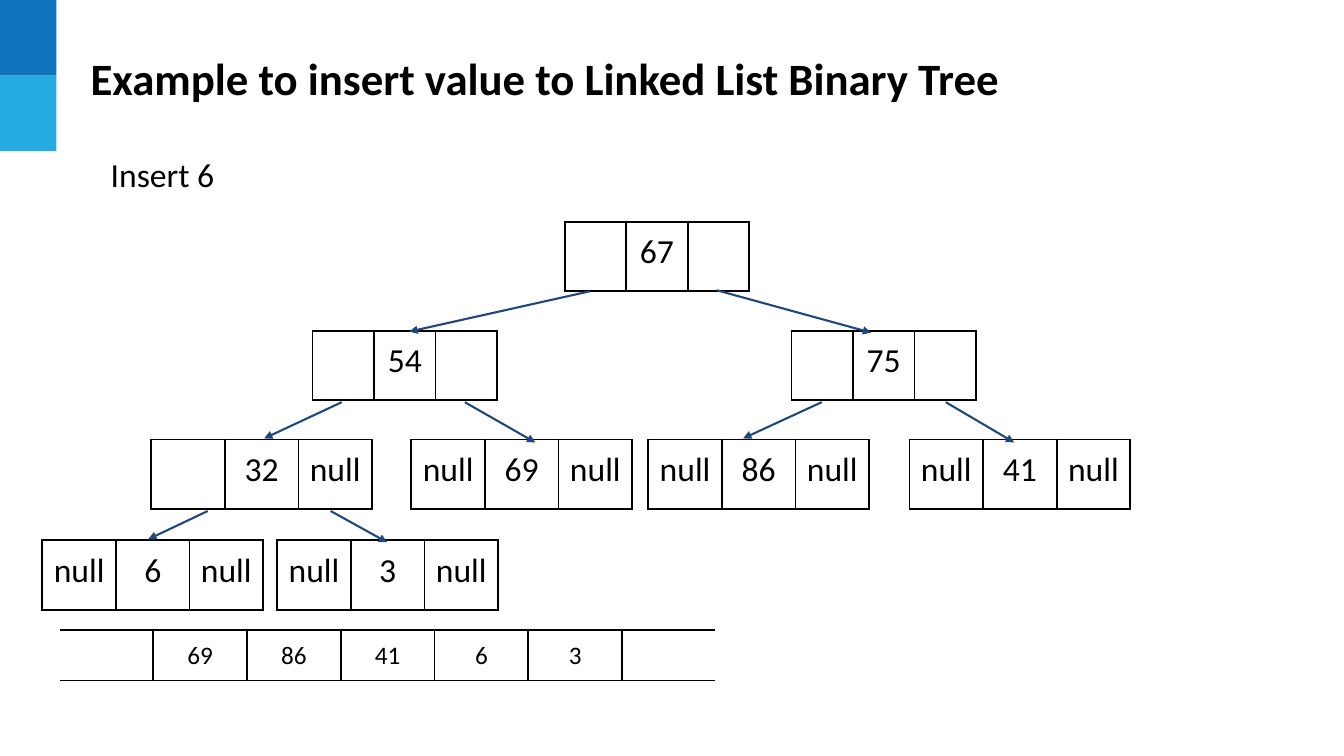
from lxml import etree
from pptx import Presentation
from pptx import util as u
from pptx.dml.color import RGBColor
from pptx.enum import shapes, text
from pptx.oxml.ns import qn

FONT, INK, LINK, PAPER = "Calibri", "000000", "1F497D", "FFFFFF"

NODES = [
    (5.6, 2.2, 0.61, ["", "67", ""]),
    (3.1, 3.28, 0.61, ["", "54", ""]),
    (7.85, 3.28, 0.61, ["", "75", ""]),
    (1.5, 4.36, 0.73, ["", "32", "null"]),
    (4.08, 4.36, 0.73, ["null", "69", "null"]),
    (6.43, 4.36, 0.73, ["null", "86", "null"]),
    (9.02, 4.36, 0.73, ["null", "41", "null"]),
    (0.42, 5.36, 0.73, ["null", "6", "null"]),
    (2.75, 5.36, 0.73, ["null", "3", "null"]),
]
LINKS = [
    (5.85, 2.89, 4.06, 3.29), (7.11, 2.88, 8.64, 3.3),
    (3.39, 3.99, 2.62, 4.35), (4.61, 3.99, 5.31, 4.39),
    (8.15, 3.99, 7.37, 4.35), (9.38, 3.99, 10.06, 4.39),
    (2.06, 5.07, 1.47, 5.35), (3.28, 5.07, 3.84, 5.38),
]
QUEUE = ["", "69", "86", "41", "6", "3", ""]


def color(code):
    """Turn a hex string into a colour."""
    return RGBColor.from_string(code)


def style(par, size, bold=False):
    """Apply the slide's font to a paragraph."""
    form = {"name": FONT, "size": u.Pt(size), "bold": bold}
    for key, val in form.items():
        setattr(par.font, key, val)
    par.font.color.rgb = color(INK)


def label(slide, box, words, size, bold=False):
    """Place one line of text, centred vertically in its box."""
    frame = slide.shapes.add_textbox(*map(u.Inches, box)).text_frame
    form = {"word_wrap": True, "vertical_anchor": text.MSO_ANCHOR.MIDDLE}
    for key, val in form.items():
        setattr(frame, key, val)
    par = frame.paragraphs[0]
    par.text = words
    style(par, size, bold)


def border(cell, side, code):
    """Draw one border of a cell."""
    line = etree.SubElement(cell._tc.get_or_add_tcPr(), qn("a:ln" + side), w=str(u.Pt(1.5)))
    fill = etree.SubElement(line, qn("a:solidFill"))
    etree.SubElement(fill, qn("a:srgbClr"), val=code)


def row(slide, box, words, size, ends=INK):
    """Place a one-row table of equal cells with the given end borders."""
    left, top, width, height = box
    count = len(words)
    table = slide.shapes.add_table(1, count, *map(u.Inches, (left, top, width * count, height))).table
    table.first_row = table.horz_banding = False
    for num, word in enumerate(words):
        cell = table.cell(0, num)
        sides = {"L": INK if num else ends, "R": INK if num < count - 1 else ends, "T": INK, "B": INK}
        for side, code in sides.items():
            border(cell, side, code)
        cell.fill.background()
        for edge in ("left", "right", "top", "bottom"):
            setattr(cell, "margin_" + edge, u.Inches(0.1))
        par = cell.text_frame.paragraphs[0]
        par.text = word
        par.alignment = text.PP_ALIGN.CENTER
        style(par, size)


def arrow(slide, ends):
    """Draw an arrow from a parent to its child."""
    line = slide.shapes.add_connector(shapes.MSO_CONNECTOR.STRAIGHT, *map(u.Inches, ends))
    line.line.color.rgb = color(LINK)
    line.line.width = u.Pt(1.5)
    etree.SubElement(line.line._get_or_add_ln(), qn("a:tailEnd"), type="triangle")
    etree.SubElement(line._element.spPr, qn("a:effectLst"))


def accent(slide, box, codes):
    """Stack colour blocks evenly down the box."""
    left, top, width, height = box
    step = height / len(codes)
    for num, code in enumerate(codes):
        spot = map(u.Inches, (left, top + num * step, width, step))
        block = slide.shapes.add_shape(shapes.MSO_SHAPE.RECTANGLE, *spot)
        block.shadow.inherit = False
        block.fill.solid()
        block.fill.fore_color.rgb = color(code)
        block.line.fill.background()


def tree(slide):
    """Draw the tree's nodes and the arrows between them."""
    for left, top, width, words in NODES:
        row(slide, (left, top, width, 0.69), words, 24)
    for ends in LINKS:
        arrow(slide, ends)


def main():
    """Build and save the slide."""
    deck = Presentation()
    deck.slide_width, deck.slide_height = u.Inches(13.33), u.Inches(7.5)
    slide = deck.slides.add_slide(deck.slide_layouts[6])
    accent(slide, (0, 0, 0.56, 1.5), ["0F75BD", "25AAE2"])
    label(slide, (0.8, 0.45, 11.95, 0.64), "Example to insert value to Linked List Binary Tree", 32, True)
    label(slide, (1, 1.48, 2.5, 0.5), "Insert 6", 24)
    tree(slide)
    row(slide, (0.59, 6.25, 0.93, 0.5), QUEUE, 18, PAPER)
    deck.save("out.pptx")


if __name__ == "__main__":
    main()
